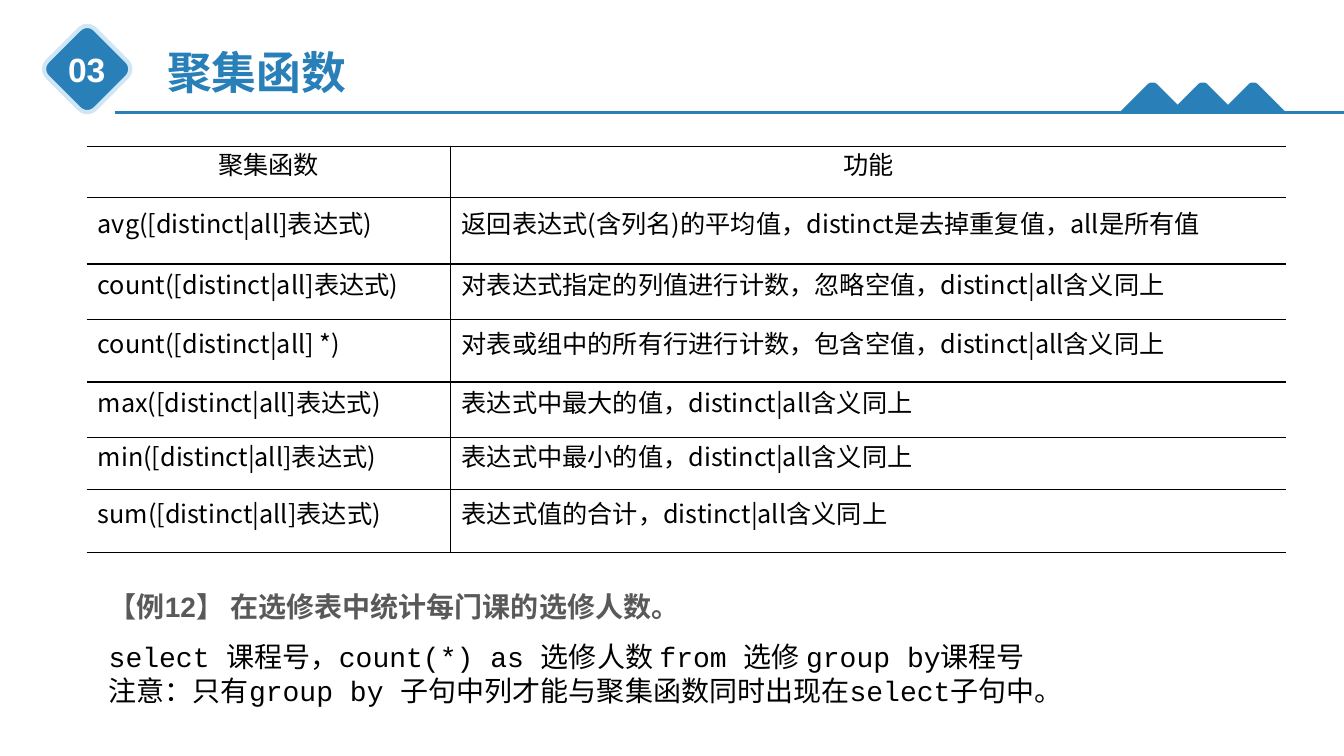
from lxml import etree
from pptx import Presentation
from pptx.dml.color import RGBColor
from pptx.enum.shapes import MSO_CONNECTOR, MSO_SHAPE
from pptx.enum.text import MSO_ANCHOR, MSO_AUTO_SIZE, PP_ALIGN
from pptx.oxml import parse_xml
from pptx.oxml.ns import nsdecls, qn
from pptx.util import Inches, Pt

LEFT, CENTER, JUSTIFY = PP_ALIGN.LEFT, PP_ALIGN.CENTER, PP_ALIGN.JUSTIFY
MIDDLE = MSO_ANCHOR.MIDDLE
GROW = MSO_AUTO_SIZE.SHAPE_TO_FIT_TEXT
ROUND_RECT = MSO_SHAPE.ROUNDED_RECTANGLE
STRAIGHT = MSO_CONNECTOR.STRAIGHT

CJK = "Noto Sans CJK SC"
THEME = {
    "blue": RGBColor.from_string("2980B9"),
    "pale": RGBColor.from_string("D1E6F5"),
    "title": {"name": "Arial", "size": Pt(32), "bold": True, "color": "2980B9"},
    "number": {"name": "Arial", "size": Pt(24), "bold": True, "color": "FFFFFF"},
    "cell": {"name": CJK, "size": Pt(18), "bold": False, "color": "000000"},
    "example": {"name": "Arial", "size": Pt(20), "bold": True, "color": "595959"},
    "code": {"name": "Courier New", "size": Pt(20), "bold": False, "color": "000000"},
}


def write(p, text, style, align, spacing=None):
    p.alignment = align
    p.line_spacing = spacing
    r = p.add_run()
    r.text = text
    for key, value in THEME[style].items():
        if key == "color":
            r.font.color.rgb = RGBColor.from_string(value)
        else:
            setattr(r.font, key, value)
    etree.SubElement(r.font._element, qn("a:ea")).set("typeface", CJK)


def add_text(box, lines, style, align=LEFT, wrap=True, spacing=None):
    tf = s.shapes.add_textbox(*map(Inches, box)).text_frame
    tf.word_wrap = wrap
    tf.auto_size = GROW
    for i, line in enumerate(lines):
        p = tf.add_paragraph() if i else tf.paragraphs[0]
        write(p, line, style, align, spacing)


prs = Presentation()
prs.slide_width, prs.slide_height = Inches(13.33), Inches(7.5)
s = prs.slides.add_slide(prs.slide_layouts[6])

badge = s.shapes.add_shape(ROUND_RECT, *map(Inches, (0.53, 0.35, 0.67, 0.67)))
badge.rotation = 45
badge.shadow.inherit = False
badge.fill.solid()
badge.fill.fore_color.rgb = THEME["blue"]
badge.line.color.rgb = THEME["pale"]
badge.line.width = Pt(3)

rule = s.shapes.add_connector(STRAIGHT, *map(Inches, (1.14, 1.12, 13.33, 1.12)))
rule.line.color.rgb = THEME["blue"]
rule.line.width = Pt(2.25)
etree.SubElement(rule._element.spPr, qn("a:effectLst"))

add_text((1.56, 0.39, 2, 0.64), ["聚集函数"], "title", wrap=False)
add_text((0.57, 0.44, 0.58, 0.5), ["03"], "number", CENTER)

slope = [(0.33, 1.12), (0.06, 0.85), (0.04, 0.83), (0.02, 0.82)]
outline = [(-x, y) for x, y in slope] + slope[::-1]
for i in range(3):
    peak = 11.43 + i * 0.5
    points = [(Inches(peak + x), Inches(y)) for x, y in outline]
    builder = s.shapes.build_freeform(*points[0])
    builder.add_line_segments(points[1:], close=True)
    sp = builder.convert_to_shape()
    sp.shadow.inherit = False
    sp.fill.solid()
    sp.fill.fore_color.rgb = THEME["blue"]
    sp.line.fill.background()

rows = [
    ("聚集函数", "功能"),
    ("avg([distinct|all]表达式)", "返回表达式(含列名)的平均值，distinct是去掉重复值，all是所有值"),
    ("count([distinct|all]表达式)", "对表达式指定的列值进行计数，忽略空值，distinct|all含义同上"),
    ("count([distinct|all] *)", "对表或组中的所有行进行计数，包含空值，distinct|all含义同上"),
    ("max([distinct|all]表达式)", "表达式中最大的值，distinct|all含义同上"),
    ("min([distinct|all]表达式)", "表达式中最小的值，distinct|all含义同上"),
    ("sum([distinct|all]表达式)", "表达式值的合计，distinct|all含义同上"),
]
widths = [3.61, 8.29]
heights = [0.51, 0.66, 0.55, 0.62, 0.55, 0.52, 0.62]
table = s.shapes.add_table(len(rows), 2, *map(Inches, (0.86, 1.45, 11.9, 4.03))).table
table.first_row = table.horz_banding = False
for column, width in zip(table.columns, widths):
    column.width = Inches(width)
for i, (row, height) in enumerate(zip(rows, heights)):
    table.rows[i].height = Inches(height)
    for j, text in enumerate(row):
        cell = table.cell(i, j)
        cell.vertical_anchor = MIDDLE
        cell.margin_left = Inches(0.11 if i else 0.07)
        cell.margin_right = Inches(0.07)
        cell.margin_top = cell.margin_bottom = 0
        write(cell.text_frame.paragraphs[0], text, "cell", JUSTIFY if i else CENTER, Pt(14))
        cell.fill.background()
        tcPr = cell._tc.get_or_add_tcPr()
        for k, side in enumerate("LRTB"):
            outer = (side, j) in (("L", 0), ("R", 1))
            paint = "<a:noFill/>" if outer else '<a:solidFill><a:srgbClr val="000000"/></a:solidFill>'
            tcPr.insert(k, parse_xml(f'<a:ln{side} {nsdecls("a")} w="12700">{paint}</a:ln{side}>'))

add_text((0.98, 6.3, 10.61, 0.77), [
    "select 课程号，count(*) as 选修人数 from 选修 group by课程号",
    "注意：只有group by 子句中列才能与聚集函数同时出现在select子句中。",
], "code")
add_text((0.98, 5.73, 11.11, 0.5), ["【例12】 在选修表中统计每门课的选修人数。"], "example", spacing=1.2)

prs.save("out.pptx")
